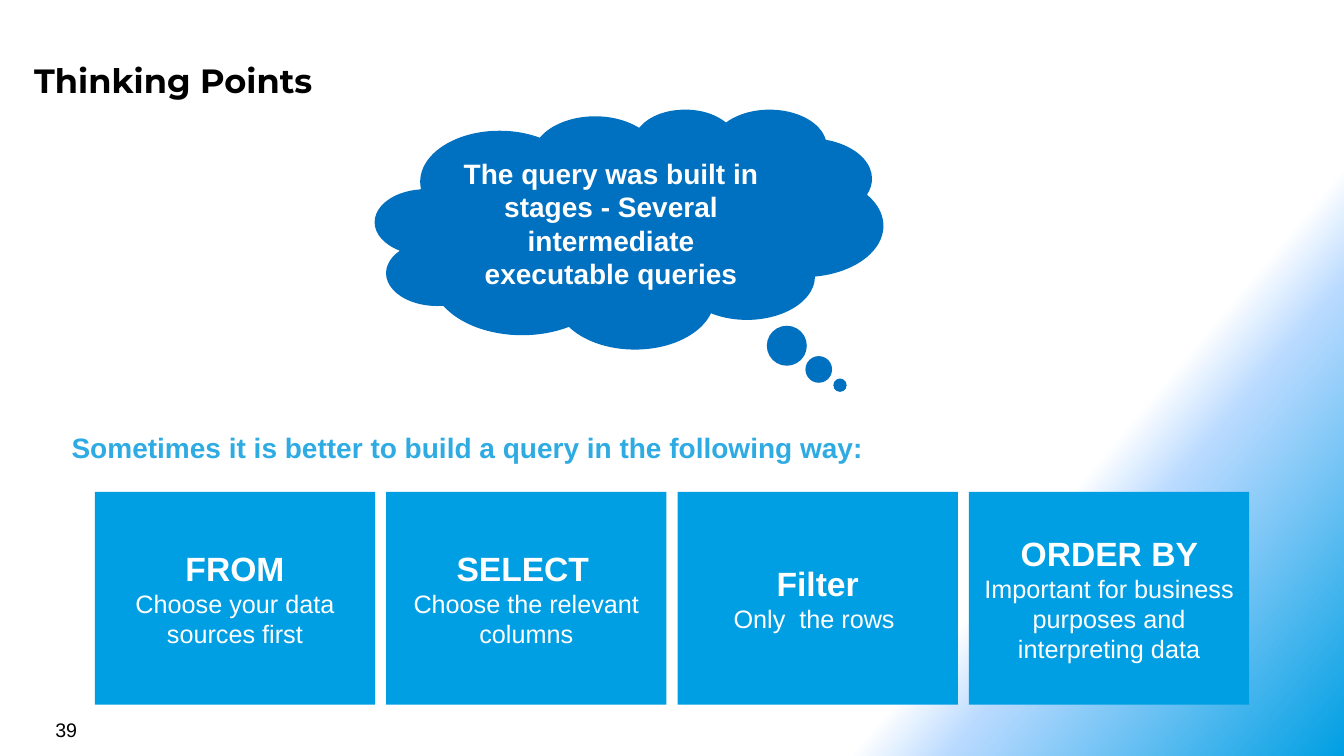
from lxml import etree
from pptx import Presentation
from pptx import util as u
from pptx.dml.color import RGBColor
from pptx.enum import shapes, text
from pptx.oxml import ns

PX = 9144
COLORS = {
    "white": "FFFFFF",
    "black": "000000",
    "cloud": "0070C0",
    "card": "009FE3",
    "lead": "2EABE2",
    "haze": "B9DAFF",
}
BACKDROP = [(75, "white", 100), (80, "haze", 50), (100, "card", 100)]
STEPS = [
    [[("FROM", 24, True)], [("Choose your data sources first", 18, False)]],
    [[("SELECT", 24, True), (" ", 18, False)],
     [("Choose the relevant columns", 18, False)]],
    [[("Filter", 24, True)], [("Only  the rows ", 18, False)]],
    [[("ORDER BY ", 24, True),
      ("Important for business purposes and interpreting data", 18, False)]],
]


def px(*lengths):
    return [u.Emu(length * PX) for length in lengths]


def write(frame, paragraphs, color, font="Arial", align=None):
    frame.word_wrap = True
    for index, runs in enumerate(paragraphs):
        para = frame.add_paragraph() if index else frame.paragraphs[0]
        para.alignment = align
        for words, size, bold in runs:
            span = para.add_run()
            span.text = words
            span.font.name = font
            span.font.size = u.Pt(size)
            span.font.bold = bold
            span.font.color.rgb = RGBColor.from_string(COLORS[color])


def add_text(page, box, words, size, color, bold=True, font="Arial", inset=None):
    frame = page.shapes.add_textbox(*px(*box)).text_frame
    if inset is not None:
        frame.margin_left = frame.margin_right = u.Emu(inset * PX)
        frame.margin_top = frame.margin_bottom = u.Emu(inset * PX)
    write(frame, [[(words, size, bold)]], color, font)


def add_panel(page, kind, box, fill, paragraphs):
    panel = page.shapes.add_shape(kind, *px(*box))
    panel.shadow.inherit = False
    panel.fill.solid()
    panel.fill.fore_color.rgb = RGBColor.from_string(COLORS[fill])
    panel.line.fill.background()
    panel.text_frame.vertical_anchor = text.MSO_ANCHOR.MIDDLE
    write(panel.text_frame, paragraphs, "white", align=text.PP_ALIGN.CENTER)
    return panel


def paint_backdrop(page):
    fill = page.background.fill
    fill.gradient()
    fill.gradient_angle = 320
    stops = page.element.find(".//" + ns.qn("a:gsLst"))
    for stop in list(stops):
        stops.remove(stop)
    for position, color, opacity in BACKDROP:
        stop = etree.SubElement(stops, ns.qn("a:gs"), pos=str(position * 1000))
        shade = etree.SubElement(stop, ns.qn("a:srgbClr"), val=COLORS[color])
        if opacity < 100:
            etree.SubElement(shade, ns.qn("a:alpha"), val=str(opacity * 1000))


def add_thought(page, box):
    words = "The query was built in stages - Several intermediate executable queries"
    cloud = add_panel(page, shapes.MSO_SHAPE.CLOUD_CALLOUT, box, "cloud",
                      [[(words, 20, True)]])
    cloud.adjustments[0] = 0.415
    cloud.adjustments[1] = 0.652


def add_steps(page, box, gap=11):
    left, top, width, height = box
    card_width = (width - gap * (len(STEPS) - 1)) // len(STEPS)
    for index, paragraphs in enumerate(STEPS):
        card_left = left + index * (card_width + gap)
        add_panel(page, shapes.MSO_SHAPE.RECTANGLE,
                  (card_left, top, card_width, height), "card", paragraphs)


def build_thinking_slide(deck):
    page = deck.slides.add_slide(deck.slide_layouts[6])
    paint_backdrop(page)
    add_text(page, (26, 51, 1226, 55), "Thinking Points", 24, "black",
             font="Montserrat", inset=8)
    add_thought(page, (372, 108, 504, 238))
    add_text(page, (63, 419, 1214, 50),
             "Sometimes it is better to build a query in the following way:",
             20, "lead", inset=8)
    add_steps(page, (94, 488, 1145, 211))
    add_text(page, (45, 707, 311, 33), "39", 14, "black", bold=False)


def main():
    deck = Presentation()
    deck.slide_width, deck.slide_height = px(1333, 750)
    build_thinking_slide(deck)
    deck.save("out.pptx")


if __name__ == "__main__":
    main()
